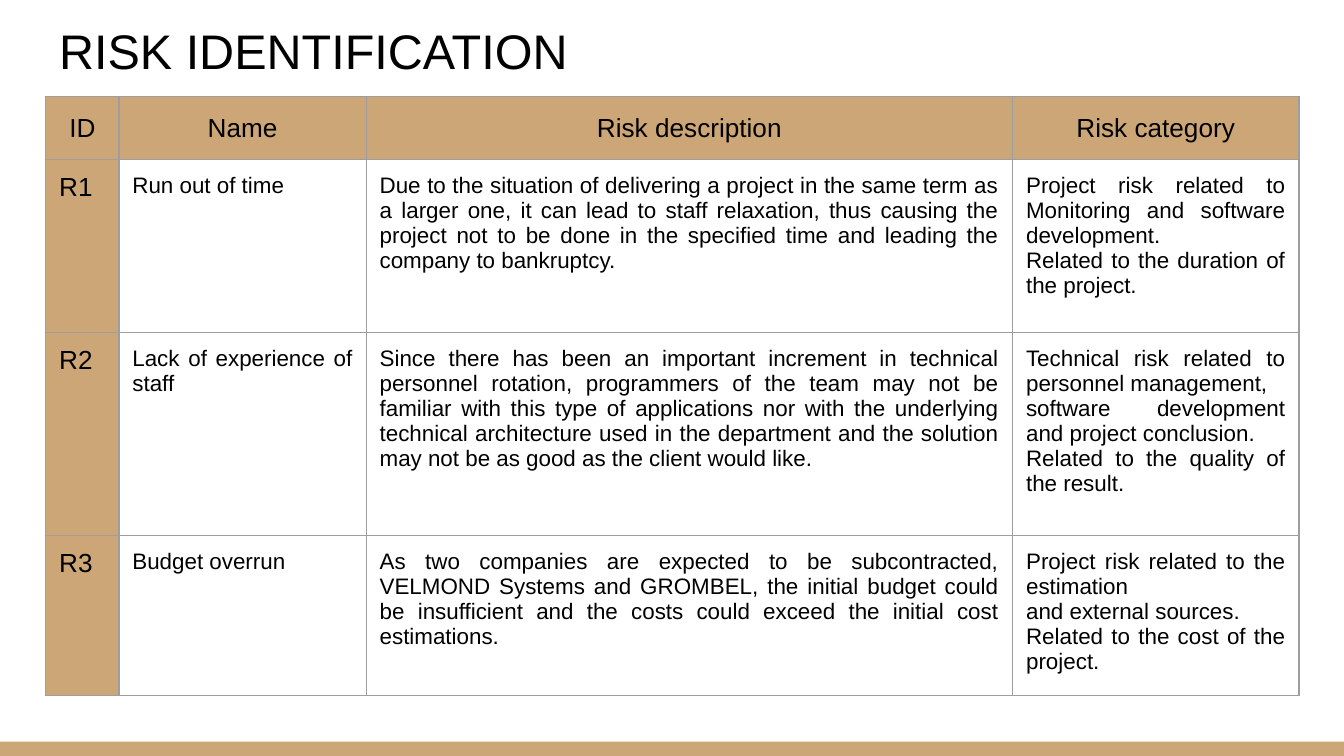
from dataclasses import dataclass

import pptx
import pptx.dml.color
import pptx.enum.shapes
import pptx.enum.text
import pptx.oxml
import pptx.oxml.ns
import pptx.util

ALIGN = pptx.enum.text.PP_ALIGN
ANCHOR = pptx.enum.text.MSO_ANCHOR


@dataclass(frozen=True)
class Theme:
    font: str = "Arial"
    ink: str = "000000"
    accent: str = "CCA677"
    border: str = "9E9E9E"
    border_pt: float = 0.75
    title_pt: int = 26
    label_pt: int = 14
    body_pt: int = 12


@dataclass(frozen=True)
class Risk:
    id: str
    name: str
    description: str
    category: tuple[str, ...]
    rows: float
    name_align: ALIGN = ALIGN.LEFT


THEME = Theme()
SLIDE_W = pptx.util.Inches(10)
SLIDE_H = SLIDE_W * 9 // 16
UNIT = SLIDE_W / 100
LEFT, TITLE_TOP, TABLE_TOP = 3.4, 0.45, 7.2
TITLE_ROWS = 6.6
COLUMNS = (5.45, 18.4, 48.1, 21.3)
HEADER_ROWS = 4.67
BAR_ROWS = 1.06
HEADERS = ("ID", "Name", "Risk description", "Risk category")
MARGINS = {f"margin_{side}": pptx.util.Inches(0.1)
           for side in ("left", "right", "top", "bottom")}

RISKS = (
    Risk("R1", "Run out of time",
         "Due to the situation of delivering a project in the same term as a "
         "larger one, it can lead to staff relaxation, thus causing the project "
         "not to be done in the specified time and leading the company to "
         "bankruptcy.",
         ("Project risk related to Monitoring and software development. ",
          "Related to the duration of the project."), 12.87),
    Risk("R2", "Lack of experience of staff",
         "Since there has been an important increment in technical personnel "
         "rotation, programmers of the team may not be familiar with this type "
         "of applications nor with the underlying technical architecture used "
         "in the department and the solution may not be as good as the client "
         "would like.",
         ("Technical risk related to personnel management, ",
          "software development and project conclusion.",
          "Related to the quality of the result. "), 15.09, ALIGN.JUSTIFY),
    Risk("R3", "Budget overrun",
         "As two companies are expected to be subcontracted, VELMOND Systems "
         "and GROMBEL, the initial budget could be insufficient and the costs "
         "could exceed the initial cost estimations. ",
         ("Project risk related to the estimation ",
          "and external sources.",
          "Related to the cost of the project."), 11.95),
)


def units(n: float) -> int:
    return round(n * UNIT)


def rgb(color: str) -> pptx.dml.color.RGBColor:
    return pptx.dml.color.RGBColor.from_string(color)


def apply(target, values: dict) -> None:
    for name, value in values.items():
        setattr(target, name, value)


def write(tf, lines: tuple[str, ...], size: int, align: ALIGN) -> None:
    for i, line in enumerate(lines):
        p = tf.add_paragraph() if i else tf.paragraphs[0]
        p.alignment = align
        r = p.add_run()
        r.text = line
        apply(r.font, {"name": THEME.font, "size": pptx.util.Pt(size)})
        r.font.color.rgb = rgb(THEME.ink)


def draw_borders(cell) -> None:
    tc_pr = cell._tc.get_or_add_tcPr()
    for side in "LRTB":
        tc_pr.append(pptx.oxml.parse_xml(
            f'<a:ln{side} {pptx.oxml.ns.nsdecls("a")} '
            f'w="{pptx.util.Pt(THEME.border_pt)}"><a:solidFill>'
            f'<a:srgbClr val="{THEME.border}"/></a:solidFill></a:ln{side}>'))


def draw_cell(cell, lines: tuple[str, ...], align: ALIGN, size: int = THEME.body_pt,
              anchor: ANCHOR = ANCHOR.TOP, filled: bool = False) -> None:
    apply(cell, MARGINS | {"vertical_anchor": anchor})
    draw_borders(cell)
    if filled:
        cell.fill.solid()
        cell.fill.fore_color.rgb = rgb(THEME.accent)
    else:
        cell.fill.background()
    write(cell.text_frame, lines, size, align)


def draw_bar(s) -> None:
    h = units(BAR_ROWS)
    sp = s.shapes.add_shape(pptx.enum.shapes.MSO_SHAPE.RECTANGLE,
                            0, SLIDE_H - h, SLIDE_W, h)
    sp.shadow.inherit = False
    sp.fill.solid()
    sp.fill.fore_color.rgb = rgb(THEME.accent)
    sp.line.fill.background()


def draw_title(s, text: str) -> None:
    sp = s.shapes.title
    apply(sp, {"left": units(LEFT), "top": units(TITLE_TOP),
               "width": units(sum(COLUMNS)), "height": units(TITLE_ROWS)})
    apply(sp.text_frame, MARGINS | {
        "word_wrap": True, "vertical_anchor": ANCHOR.MIDDLE,
        "auto_size": pptx.enum.text.MSO_AUTO_SIZE.NONE})
    write(sp.text_frame, (text,), THEME.title_pt, ALIGN.LEFT)


def draw_table(s) -> None:
    heights = (HEADER_ROWS, *(risk.rows for risk in RISKS))
    table = s.shapes.add_table(
        len(heights), len(COLUMNS), units(LEFT), units(TABLE_TOP),
        units(sum(COLUMNS)), units(sum(heights))).table
    apply(table, {"first_row": False, "horz_banding": False})
    for column, width in zip(table.columns, COLUMNS):
        column.width = units(width)
    for row, height in zip(table.rows, heights):
        row.height = units(height)
    for i, header in enumerate(HEADERS):
        draw_cell(table.cell(0, i), (header,), ALIGN.CENTER, THEME.label_pt,
                  ANCHOR.MIDDLE, True)
    for i, risk in enumerate(RISKS, 1):
        draw_cell(table.cell(i, 0), (risk.id,), ALIGN.LEFT, THEME.label_pt,
                  filled=True)
        draw_cell(table.cell(i, 1), (risk.name,), risk.name_align)
        draw_cell(table.cell(i, 2), (risk.description,), ALIGN.JUSTIFY)
        draw_cell(table.cell(i, 3), risk.category, ALIGN.JUSTIFY)


def main() -> None:
    prs = pptx.Presentation()
    apply(prs, {"slide_width": SLIDE_W, "slide_height": SLIDE_H})
    s = prs.slides.add_slide(prs.slide_layouts[5])
    draw_bar(s)
    draw_title(s, "RISK IDENTIFICATION")
    draw_table(s)
    prs.save("out.pptx")


if __name__ == "__main__":
    main()
